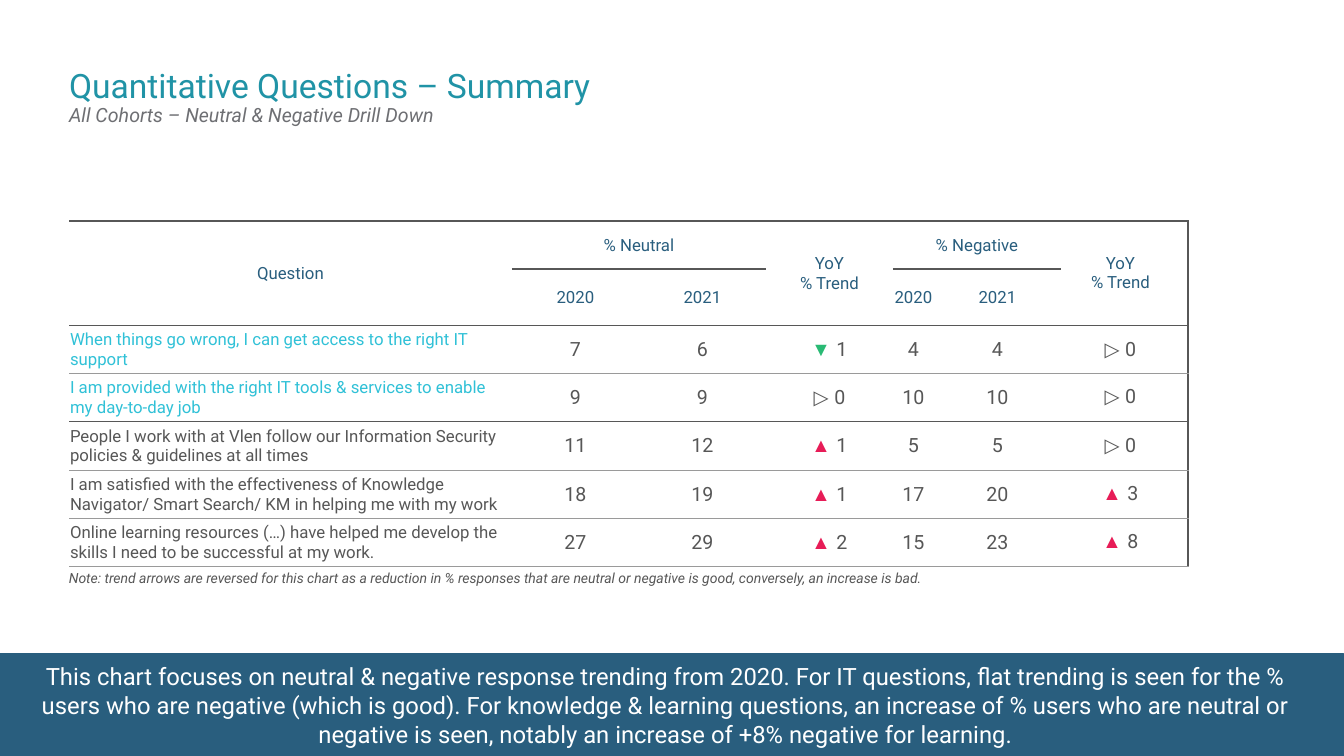
from lxml.etree import SubElement
from pptx import Presentation
from pptx.dml.color import RGBColor
from pptx.enum.shapes import MSO_SHAPE as Shape
from pptx.enum.text import MSO_ANCHOR as Anchor, PP_ALIGN as Align
from pptx.oxml import parse_xml
from pptx.oxml.ns import nsdecls, qn
from pptx.util import Emu, Pt

PX = 914400 / 100.8
COLORS = {
    "teal": "2093A6", "subtitle": "6E6F73", "navy": "295E7E", "text": "575757",
    "grid": "9A9A9A", "cyan": "30C1D7", "good": "29BA74", "bad": "E71C57",
    "white": "FFFFFF",
}
TREND_COLORS = {"▼": "good", "▲": "bad", "▷": "text"}


def px(*lengths):
    """Turn pixel lengths into EMU."""
    return [Emu(round(n * PX)) for n in lengths]


def style(font, size, color, name="Roboto", italic=None):
    font.name, font.size, font.italic = name, Pt(size), italic
    font.color.rgb = RGBColor.from_string(COLORS[color])


prs = Presentation()
prs.slide_width, prs.slide_height = px(1344, 756)
slide = prs.slides.add_slide(prs.slide_layouts[6])
shapes = slide.shapes

# Title and subtitle
title = shapes.add_textbox(*px(69, 69, 1206, 58)).text_frame
title.word_wrap = True
title.margin_left = title.margin_top = title.margin_right = title.margin_bottom = 0
heading = title.paragraphs[0]
heading.line_spacing = 0.9
run = heading.add_run()
run.text = "Quantitative Questions – Summary"
style(run.font, 24, "teal")
heading.add_line_break()
run = heading.add_run()
run.text = "All Cohorts – Neutral & Negative Drill Down"
style(run.font, 14, "subtitle", italic=True)

# Banner
banner = shapes.add_shape(Shape.RECTANGLE, *px(0, 654, 1344, 102))
banner.shadow.inherit = False
banner.fill.solid()
banner.fill.fore_color.rgb = RGBColor.from_string(COLORS["navy"])
banner.line.color.rgb = RGBColor.from_string(COLORS["navy"])
banner.line.width = Pt(0.75)

# Results table
column_widths = px(443, 127, 127, 127, 41, 127, 127)
row_heights = px(48, 56, 48, 48, 49, 48, 48)
rows = [
    ["Question", "% Neutral", "", "YoY\n% Trend", "% Negative", "", "YoY\n% Trend"],
    ["", "2020", "2021", "", "2020", "2021", ""],
    ["When things go wrong, I can get access to the right IT support",
     "7", "6", "▼ 1", "4", "4", "▷ 0"],
    ["I am provided with the right IT tools & services to enable my day-to-day job",
     "9", "9", "▷ 0", "10", "10", "▷ 0"],
    ["People I work with at Vlen follow our Information Security policies & guidelines "
     "at all times", "11", "12", "▲ 1", "5", "5", "▷ 0"],
    ["I am satisfied with the effectiveness of Knowledge Navigator/ Smart Search/ KM "
     "in helping me with my work", "18", "19", "▲ 1", "17", "20", "▲ 3"],
    ["Online learning resources (…) have helped me develop the skills I need to be "
     "successful at my work.", "27", "29", "▲ 2", "15", "23", "▲ 8"],
]
header_rows = 2
it_rows = (2, 3)
question_column, last_column = 0, 6
# Line above the table, then the line under each row
rules = ["text", "text", "text", "grid", "text", "grid", "grid", "grid"]

frame = shapes.add_table(len(rows), len(column_widths), *px(69, 221),
                         sum(column_widths), sum(row_heights))
table = frame.table
table.first_row = table.horz_banding = False
for column, width in zip(table.columns, column_widths):
    column.width = width
for row, height in zip(table.rows, row_heights):
    row.height = height
for column in (0, 3, 6):
    table.cell(0, column).merge(table.cell(1, column))
for column in (1, 4):
    table.cell(0, column).merge(table.cell(0, column + 1))

for r, row in enumerate(rows):
    for c, text in enumerate(row):
        cell = table.cell(r, c)
        cell.vertical_anchor = Anchor.MIDDLE
        margins = px(0, 8, 8, 8) if c == last_column else px(1, 1, 1, 0)
        (cell.margin_left, cell.margin_top,
         cell.margin_right, cell.margin_bottom) = margins
        cell.fill.background()

        covered = r == 1 and c in (0, 3, 6)
        edges = {"lnL": None, "lnR": "text" if c == last_column else None,
                 "lnT": None if covered else rules[r], "lnB": rules[r + 1]}
        properties = cell._tc.get_or_add_tcPr()
        for position, (edge, color) in enumerate(edges.items()):
            width = Pt(0.75 if color == "grid" else 1)
            line = parse_xml(f'<a:{edge} {nsdecls("a")} w="{width}"/>')
            if color:
                fill = SubElement(line, qn("a:solidFill"))
                SubElement(fill, qn("a:srgbClr"), val=COLORS[color])
            else:
                SubElement(line, qn("a:noFill"))
            properties.insert(position, line)

        if not text:
            continue
        if text[0] in TREND_COLORS:
            trend = cell.text_frame.paragraphs[0]
            trend.alignment = Align.CENTER
            arrow, change = trend.add_run(), trend.add_run()
            arrow.text, change.text = text[:2], text[2:]
            style(arrow.font, 14, TREND_COLORS[text[0]], "Arial")
            style(change.font, 14, "text")
            continue
        cell.text = text
        is_question = r >= header_rows and c == question_column
        size = 12 if r < header_rows or is_question else 14
        color = ("navy" if r < header_rows
                 else "cyan" if is_question and r in it_rows else "text")
        for paragraph in cell.text_frame.paragraphs:
            paragraph.alignment = Align.LEFT if is_question else Align.CENTER
            style(paragraph.font, size, color)

# Banner message and table note
captions = [
    ((30, 654, 1271, 102), 17, "white", None, Align.CENTER,
     "This chart focuses on neutral & negative response trending from 2020. For IT "
     "questions, flat trending is seen for the % users who are negative (which is good). "
     "For knowledge & learning questions, an increase of % users who are neutral or "
     "negative is seen, notably an increase of +8% negative for learning."),
    ((59, 563, 1113, 30), 10, "text", True, Align.LEFT,
     "Note: trend arrows are reversed for this chart as a reduction in % responses that "
     "are neutral or negative is good, conversely, an increase is bad."),
]
for box, size, color, italic, alignment, text in captions:
    caption = shapes.add_textbox(*px(*box)).text_frame
    caption.word_wrap = True
    caption.vertical_anchor = Anchor.MIDDLE
    caption.text = text
    caption.paragraphs[0].alignment = alignment
    style(caption.paragraphs[0].font, size, color, italic=italic)

prs.save("out.pptx")
